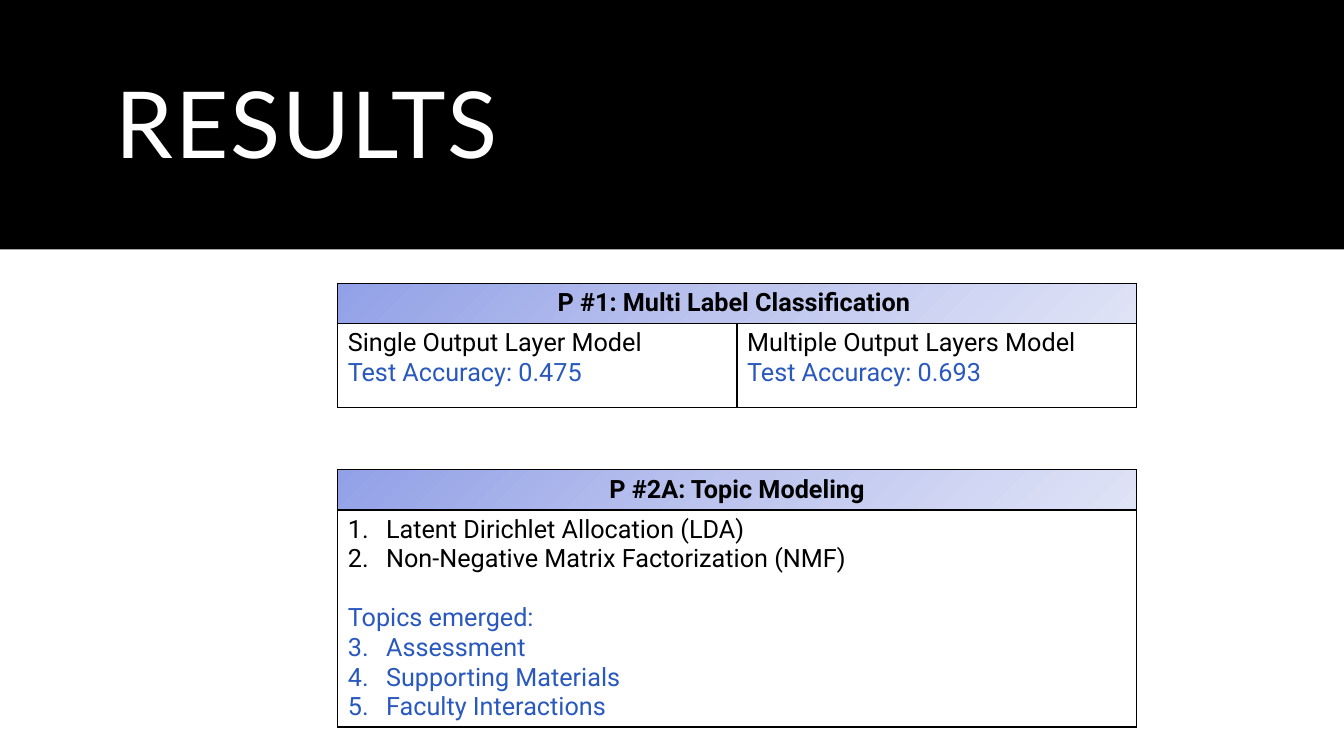
from lxml import etree
from pptx import Presentation
from pptx import util as u
from pptx.dml.color import RGBColor
from pptx.enum import shapes, text
from pptx.oxml import parse_xml
from pptx.oxml.ns import qn

COLORS = {
    "black": "000000",
    "white": "FFFFFF",
    "accent": "2958BE",
    "start": "92A0E7",
    "middle": "BDC5EE",
    "end": "DFE3F6",
}
WIDTH, HEIGHT = u.Inches(13.33), u.Inches(7.5)
BAND_HEIGHT = 0.33 * HEIGHT
TABLE_LEFT, TABLE_WIDTH = u.Inches(3.35), u.Inches(7.92)
HEADER_HEIGHT = u.Inches(0.4)
INDENT = u.Inches(0.38)
NAMESPACE = "http://schemas.openxmlformats.org/drawingml/2006/main"


def rgb(name):
    return RGBColor.from_string(COLORS[name])


def add_band(page):
    band = page.shapes.add_shape(
        shapes.MSO_SHAPE.RECTANGLE, 0, 0, WIDTH, int(BAND_HEIGHT))
    band.shadow.inherit = False
    band.fill.solid()
    band.fill.fore_color.rgb = rgb("black")
    band.line.fill.background()
    page.shapes._spTree.insert(2, band._element)


def set_title(page, words):
    title = page.shapes.title
    title.left, title.top = u.Inches(1.05), u.Inches(0.35)
    title.width, title.height = u.Inches(11.23), u.Inches(1.86)
    frame = title.text_frame
    frame.auto_size = text.MSO_AUTO_SIZE.NONE
    frame.vertical_anchor = text.MSO_ANCHOR.MIDDLE
    para = frame.paragraphs[0]
    para.alignment = text.PP_ALIGN.LEFT
    para.line_spacing = 0.9
    span = para.add_run()
    span.text = words
    span.font.name, span.font.size = "Lato", u.Pt(66)
    span.font.color.rgb = rgb("white")
    span._r.get_or_add_rPr().set("spc", "120")


def set_borders(cell):
    properties = cell._tc.get_or_add_tcPr()
    for side in ("lnL", "lnR", "lnT", "lnB"):
        properties.append(parse_xml(
            f'<a:{side} xmlns:a="{NAMESPACE}" w="{u.Pt(1)}"><a:solidFill>'
            f'<a:srgbClr val="{COLORS["black"]}"/></a:solidFill></a:{side}>'))


def set_gradient(cell):
    stops = "".join(
        f'<a:gs pos="{share * 1000}"><a:srgbClr val="{COLORS[name]}"/></a:gs>'
        for share, name in ((0, "start"), (50, "middle"), (100, "end")))
    cell._tc.get_or_add_tcPr().append(parse_xml(
        f'<a:gradFill xmlns:a="{NAMESPACE}"><a:gsLst>{stops}</a:gsLst>'
        f'<a:lin ang="{45 * 60000}" scaled="0"/></a:gradFill>'))


def style_paragraph(para, words, color="black", bold=False):
    para.text = words
    para.font.name, para.font.size = "Roboto", u.Pt(18)
    para.font.bold = bold
    para.font.color.rgb = rgb(color)


def number_paragraph(para, start):
    properties = para._p.get_or_add_pPr()
    properties.set("marL", str(INDENT))
    properties.set("indent", str(-INDENT))
    number = etree.Element(qn("a:buAutoNum"), type="arabicPeriod")
    if start > 1:
        number.set("startAt", str(start))
    properties.insert_element_before(number, "a:tabLst", "a:defRPr", "a:extLst")


def fill_cell(cell, lines):
    frame = cell.text_frame
    for index, (words, color, start, gap) in enumerate(lines):
        para = frame.add_paragraph() if index else frame.paragraphs[0]
        style_paragraph(para, words, color)
        if gap:
            para.space_before = u.Pt(gap)
        if start:
            number_paragraph(para, start)


def add_result_table(page, top, body_height, heading, columns):
    count = len(columns)
    table = page.shapes.add_table(
        2, count, TABLE_LEFT, u.Inches(top), TABLE_WIDTH,
        HEADER_HEIGHT + u.Inches(body_height)).table
    table.first_row = table.horz_banding = False
    table.rows[0].height = HEADER_HEIGHT
    table.rows[1].height = u.Inches(body_height)
    for cell in table.iter_cells():
        set_borders(cell)
    for index, lines in enumerate(columns):
        set_gradient(table.cell(0, index))
        body = table.cell(1, index)
        body.fill.background()
        fill_cell(body, lines)
    header = table.cell(0, 0)
    if count > 1:
        header.merge(table.cell(0, count - 1))
    para = header.text_frame.paragraphs[0]
    style_paragraph(para, heading, bold=True)
    para.alignment = text.PP_ALIGN.CENTER


def main():
    deck = Presentation()
    deck.slide_width, deck.slide_height = WIDTH, HEIGHT
    page = deck.slides.add_slide(deck.slide_layouts.get_by_name("Title Only"))
    page.background.fill.solid()
    page.background.fill.fore_color.rgb = rgb("white")
    add_band(page)
    set_title(page, "RESULTS")

    models = (("Single Output Layer Model", "0.475"),
              ("Multiple Output Layers Model", "0.693"))
    add_result_table(
        page, 2.81, 0.83, "P #1: Multi Label Classification ",
        [[(model, "black", 0, 0),
          (f"Test Accuracy: {accuracy}", "accent", 0, 0)]
         for model, accuracy in models])

    methods = ("Latent Dirichlet Allocation (LDA)",
               "Non-Negative Matrix Factorization (NMF)")
    topics = ("Assessment", "Supporting Materials", "Faculty Interactions")
    lines = [(method, "black", 1, 0) for method in methods]
    lines.append(("Topics emerged:", "accent", 0, 21))
    lines += [(topic, "accent", len(methods) + 1, 0) for topic in topics]
    add_result_table(page, 4.66, 2.15, "P #2A: Topic Modeling", [lines])
    deck.save("out.pptx")


if __name__ == "__main__":
    main()
